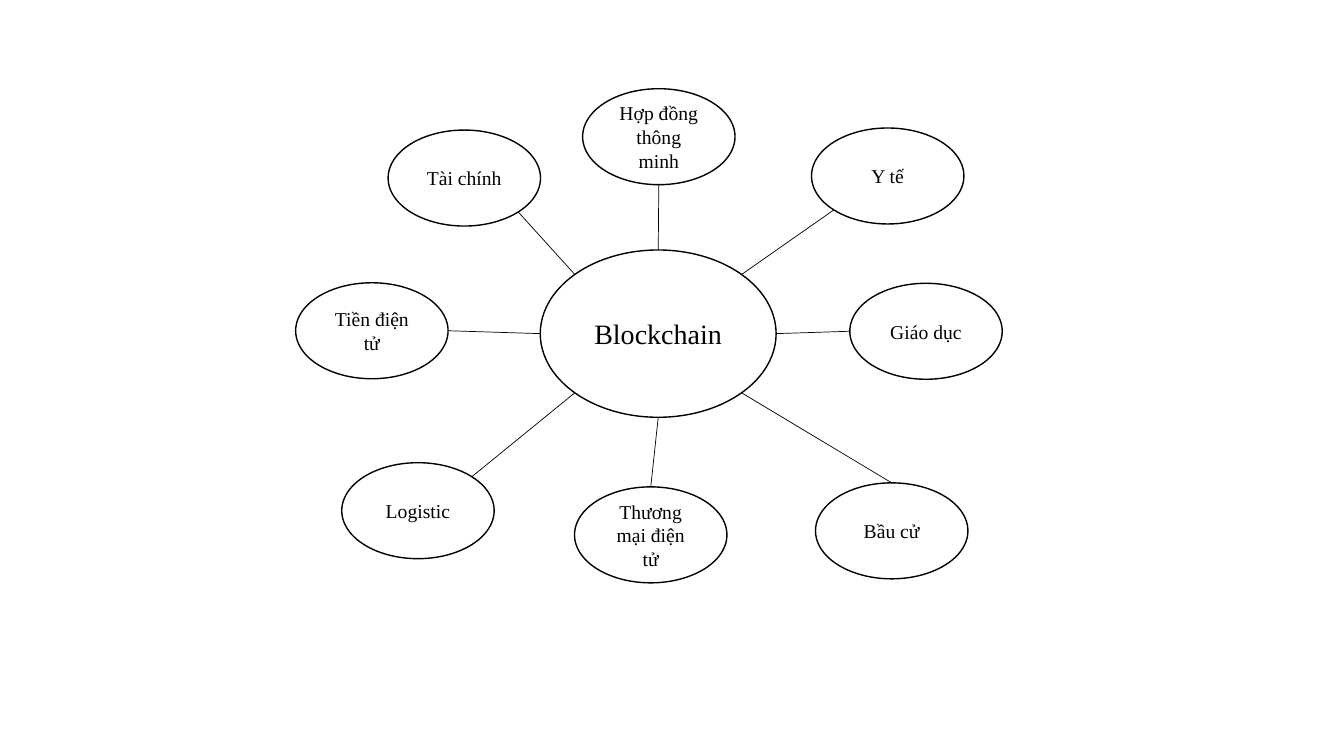
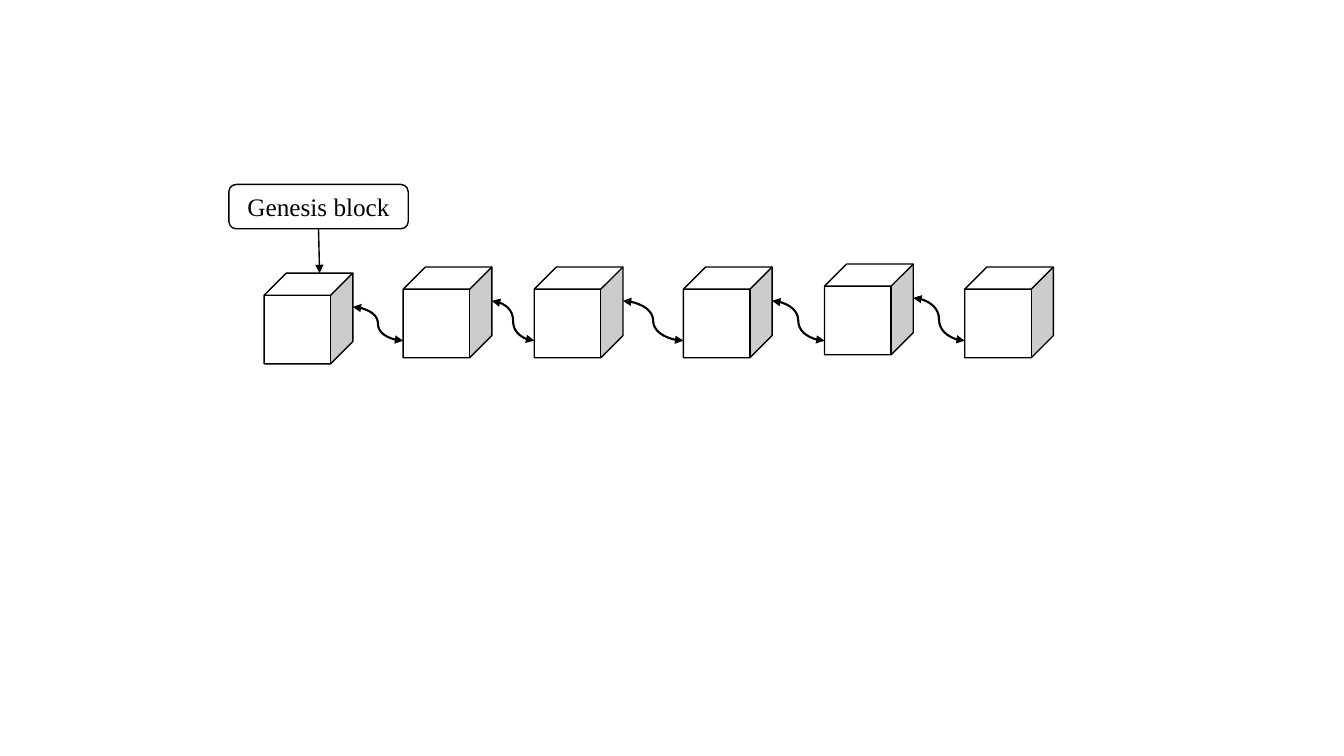
"""Build two diagrams: blockchain applications and a chain of blocks."""
from math import cos, radians, sin

from lxml import etree
from pptx import Presentation
from pptx import util as u
from pptx.dml.color import RGBColor
from pptx.enum import shapes, text
from pptx.oxml.ns import qn

deck = Presentation()
deck.slide_width, deck.slide_height = u.Inches(13.33), u.Inches(7.5)
column, row = deck.slide_width / 100, deck.slide_height / 100
rgb = RGBColor.from_string
INK, PAPER = "000000", "FFFFFF"
FONT = {"name": "Times New Roman"}
KIND, WIRE = shapes.MSO_SHAPE, shapes.MSO_CONNECTOR


def add_node(page, kind, left, top, width, height, label="", size=14):
    box = page.shapes.add_shape(kind, round(left * column), round(top * row),
                                round(width * column), round(height * row))
    box.shadow.inherit = False
    box.fill.solid()
    box.fill.fore_color.rgb = rgb(PAPER)
    box.line.color.rgb = rgb(INK)
    box.line.width = u.Pt(1)
    if label:
        box.text_frame.vertical_anchor = text.MSO_ANCHOR.MIDDLE
        para = box.text_frame.paragraphs[0]
        para.alignment = text.PP_ALIGN.CENTER
        span = para.add_run()
        span.text = label
        for name, value in {**FONT, "size": u.Pt(size)}.items():
            setattr(span.font, name, value)
        span.font.color.rgb = rgb(INK)


def add_wire(page, kind, start, end, weight, arrows=()):
    wire = page.shapes.add_connector(kind, round(start[0] * column), round(start[1] * row),
                                     round(end[0] * column), round(end[1] * row))
    wire.line.color.rgb = rgb(INK)
    wire.line.width = u.Pt(weight)
    properties = wire._element.spPr
    for arrow in arrows:
        etree.SubElement(properties.find(qn("a:ln")), qn(arrow), type="triangle")
    etree.SubElement(properties, qn("a:effectLst"))


applications_page, chain_page = (deck.slides.add_slide(deck.slide_layouts[6]) for _ in range(2))

hub = (40.2, 33.07, 17.55, 22.13)
leaf_size = (11.34, 12.7)
applications = [
    ("Bầu cử", 60.68, 63.87, 45, 270),
    ("Thương mại điện tử", 42.75, 64.4, 90, 270),
    ("Giáo dục", 63.23, 37.47, 0, 180),
    ("Tiền điện tử", 22, 37.4, 180, 0),
    ("Y tế", 60.38, 16.93, 315, 135),
    ("Hợp đồng thông minh", 43.35, 11.73, 270, 90),
    ("Logistic", 25.43, 61.2, 135, 315),
    ("Tài chính", 28.88, 17.2, 225, 45),
]
add_node(applications_page, KIND.OVAL, *hub, "Blockchain", 20)
for label, left, top, hub_angle, leaf_angle in applications:
    leaf = (left, top, *leaf_size)
    add_node(applications_page, KIND.OVAL, *leaf, label)
    leaf_end, hub_end = (
        (x + width / 2 * (1 + cos(radians(angle))), y + height / 2 * (1 + sin(radians(angle))))
        for (x, y, width, height), angle in ((leaf, leaf_angle), (hub, hub_angle)))
    add_wire(applications_page, WIRE.STRAIGHT, leaf_end, hub_end, 0.5)

block_size = (6.6, 12)
blocks = [(19.65, 36.13), (30, 35.33), (39.75, 35.33),
          (50.85, 35.33), (61.35, 34.93), (71.78, 35.33)]
for left, top in blocks:
    add_node(chain_page, KIND.CUBE, left, top, *block_size)
for (left, top), (next_left, _) in zip(blocks, blocks[1:]):
    add_wire(chain_page, WIRE.CURVE, (left + block_size[0], top + 4.47), (next_left, 45.07),
             1.5, ("a:headEnd", "a:tailEnd"))
add_wire(chain_page, WIRE.STRAIGHT, (23.7, 30.27), (23.78, 36.13), 1, ("a:tailEnd",))
add_node(chain_page, KIND.ROUNDED_RECTANGLE, 17.03, 24.4, 13.35, 5.87, "Genesis block", 18)

deck.save("out.pptx")
